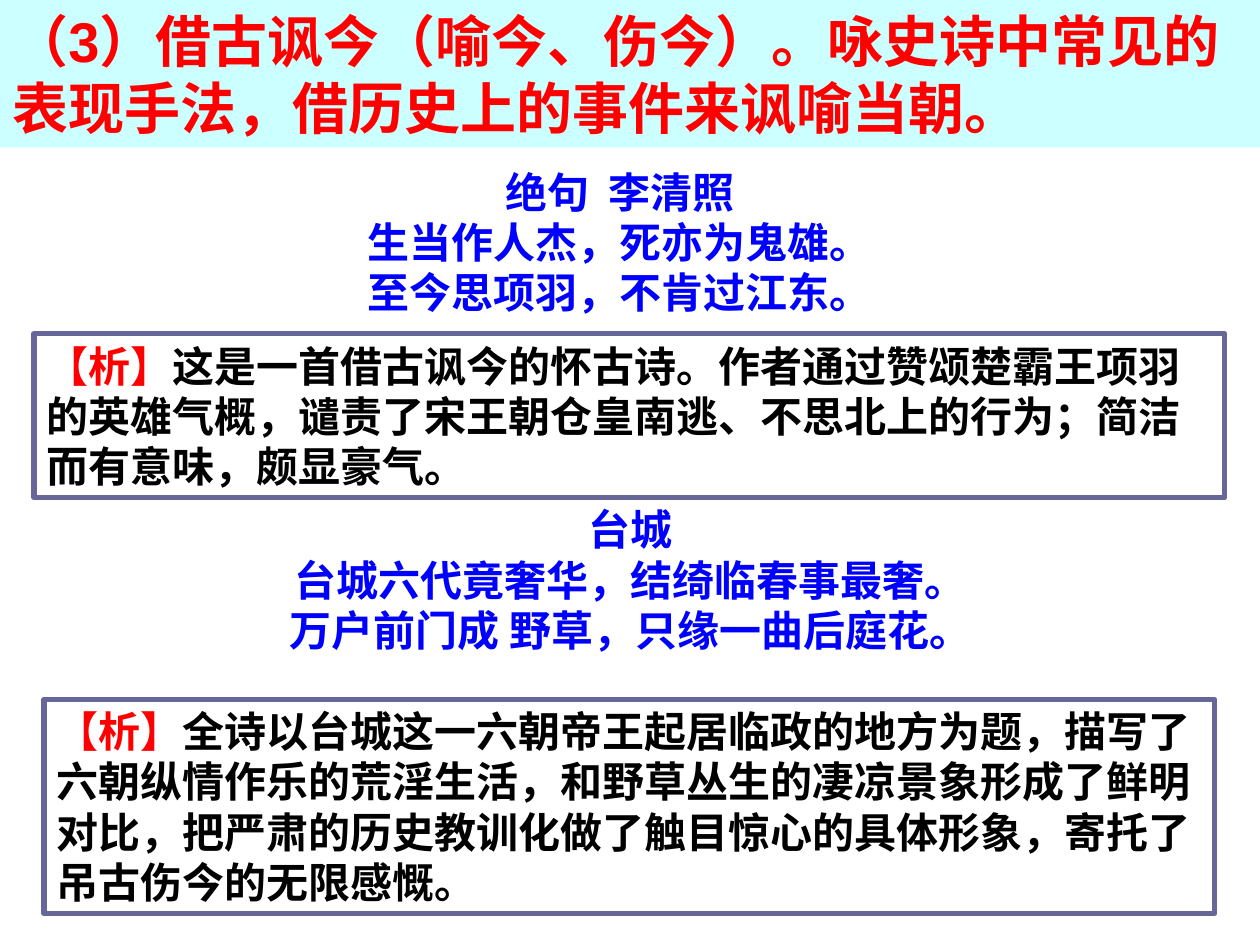
from pptx import Presentation
from pptx.dml.color import RGBColor as RGB
from pptx.enum.shapes import MSO_SHAPE as Shape
from pptx.enum.text import MSO_ANCHOR as Anchor, PP_ALIGN as Align
from pptx.util import Inches, Pt

COLORS = {
    "band": "CCFFFF",
    "frame": "666699",
    "red": "FF0000",
    "blue": "0000FF",
    "black": "000000",
}


def color(name):
    return RGB.from_string(COLORS[name])


def add_run(para, text, size, name):
    run = para.add_run()
    run.text = text
    font = run.font
    font.name, font.size, font.bold = "Arial", Pt(size), True
    font.color.rgb = color(name)


def add_panel(slide, box, fill=None, line=None):
    """Add a rectangle ready for left-aligned text; return its first paragraph."""
    panel = slide.shapes.add_shape(Shape.RECTANGLE, *map(Inches, box))
    panel.shadow.inherit = False
    if fill:
        panel.fill.solid()
        panel.fill.fore_color.rgb = color(fill)
    else:
        panel.fill.background()
    if line:
        panel.line.color.rgb = color(line)
        panel.line.width = Pt(3)
    else:
        panel.line.fill.background()
    frame = panel.text_frame
    frame.word_wrap = True
    frame.vertical_anchor = Anchor.TOP
    para = frame.paragraphs[0]
    para.alignment = Align.LEFT
    return para


def add_title(slide, box, text):
    add_run(add_panel(slide, box, fill="band"), text, 32, "red")


def add_poem(slide, box, lines):
    frame = slide.shapes.add_textbox(*map(Inches, box)).text_frame
    frame.word_wrap = True
    for i, line in enumerate(lines):
        para = frame.add_paragraph() if i else frame.paragraphs[0]
        para.alignment = Align.CENTER
        add_run(para, line, 24, "blue")


def add_note(slide, box, text):
    para = add_panel(slide, box, line="frame")
    add_run(para, "【析】", 24, "red")
    add_run(para, text, 24, "black")


def main():
    deck = Presentation()
    deck.slide_width, deck.slide_height = Inches(10), Inches(7.5)
    slide = deck.slides.add_slide(deck.slide_layouts[6])

    # Heading band
    add_title(slide, (0, 0, 10, 1.17),
              "（3）借古讽今（喻今、伤今）。咏史诗中常见的表现手法，"
              "借历史上的事件来讽喻当朝。")

    # First poem and its analysis
    add_poem(slide, (0.35, 1.27, 9.14, 1.3),
             ["绝句  李清照",
              "生当作人杰，死亦为鬼雄。",
              "至今思项羽，不肯过江东。"])
    add_note(slide, (0.27, 2.65, 9.45, 1.3),
             "这是一首借古讽今的怀古诗。作者通过赞颂楚霸王项羽的英雄气概，"
             "谴责了宋王朝仓皇南逃、不思北上的行为；简洁而有意味，颇显豪气。")

    # Second poem and its analysis
    add_poem(slide, (1.46, 3.95, 7.09, 1.3),
             ["台城",
              "台城六代竟奢华，结绮临春事最奢。",
              "万户前门成 野草，只缘一曲后庭花。"])
    add_note(slide, (0.35, 5.55, 9.29, 1.7),
             "全诗以台城这一六朝帝王起居临政的地方为题，描写了六朝纵情作乐的荒淫生活，"
             "和野草丛生的凄凉景象形成了鲜明对比，把严肃的历史教训化做了触目惊心的"
             "具体形象，寄托了吊古伤今的无限感慨。")

    deck.save("out.pptx")


if __name__ == "__main__":
    main()
